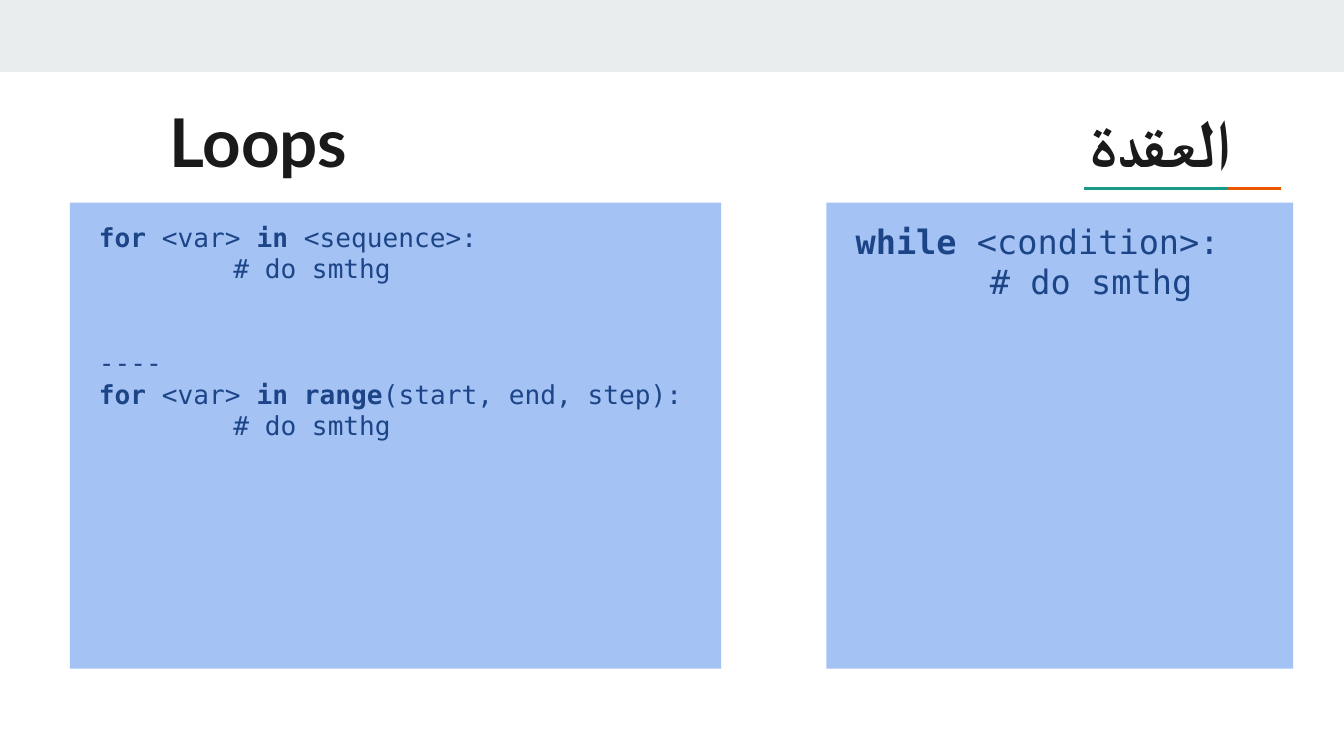
from lxml.etree import SubElement
from pptx import Presentation
from pptx.dml.color import RGBColor
from pptx.enum.shapes import MSO_SHAPE
from pptx.enum.text import MSO_ANCHOR, PP_ALIGN
from pptx.oxml.ns import qn
from pptx.util import Cm, Pt

# Content: boxes are left, top, width, height in cm
BAR = ((0, 0, 25.4, 1.36), "E9EDEE")
UNDERLINES = [((21.52, 3.54, 2.69, 0.05), "EB5600"),
              ((20.49, 3.54, 2.72, 0.05), "1A9988")]
ENGLISH_TITLE = ("Loops", (2.95, 1.65, 7.34, 1.5))
ARABIC_TITLE = ("العقدة", (18.6, 1.65, 4.93, 1.5))
BODY = "\t# do smthg"
TAB_STOP = 2.54
# Panel: box, text size, paragraphs of (space before, runs of (text, bold));
# None stands for a line break
PANELS = [
    ((1.32, 3.83, 12.31, 8.81), 14, [
        (0, [("for", True), (" <var> ", False), ("in", True),
             (" <sequence>:", False)]),
        (0, [(BODY, False)]),
        (1.19, [("----", False), None, ("for", True), (" <var> ", False),
                ("in range", True), ("(start, end, step):", False)]),
        (0, [(BODY, False)]),
    ]),
    ((15.62, 3.83, 8.82, 8.81), 18, [
        (0, [("while", True), (" <condition>:", False)]),
        (0, [(BODY, False)]),
    ]),
]


def color(value):
    return RGBColor.from_string(value)


def add_block(slide, box, fill):
    block = slide.shapes.add_shape(MSO_SHAPE.RECTANGLE, *map(Cm, box))
    block.shadow.inherit = False
    block.fill.solid()
    block.fill.fore_color.rgb = color(fill)
    block.line.fill.background()
    return block


def set_frame(frame, side, end):
    frame.word_wrap = True
    frame.vertical_anchor = MSO_ANCHOR.TOP
    frame.margin_left = frame.margin_right = Cm(side)
    frame.margin_top = frame.margin_bottom = Cm(end)


def add_run(paragraph, text, size, face, ink, bold):
    run = paragraph.add_run()
    run.text = text
    run.font.size = Pt(size)
    run.font.name = face
    run.font.bold = bold
    run.font.color.rgb = color(ink)
    return run


def fill_title(heading, text, box, align):
    heading.left, heading.top, heading.width, heading.height = map(Cm, box)
    set_frame(heading.text_frame, 0.25, 0.25)
    paragraph = heading.text_frame.paragraphs[0]
    paragraph.alignment = align
    return paragraph, add_run(paragraph, text, 36, "Lato", "1A1A1A", True)


def add_tab_stop(paragraph):
    stops = SubElement(paragraph._p.get_or_add_pPr(), qn("a:tabLst"))
    SubElement(stops, qn("a:tab"), pos=str(Cm(TAB_STOP)), algn="l")


def add_panel(slide, box, size, code):
    frame = add_block(slide, box, "A4C2F4").text_frame
    set_frame(frame, 0.55, 0.35)
    for number, (gap, pieces) in enumerate(code):
        paragraph = frame.add_paragraph() if number else frame.paragraphs[0]
        paragraph.alignment = PP_ALIGN.LEFT
        paragraph.space_before = Cm(gap)
        add_tab_stop(paragraph)
        for piece in pieces:
            if piece is None:
                paragraph.add_line_break()
            else:
                text, bold = piece
                add_run(paragraph, text, size, "DejaVu Sans Mono", "1C4587", bold)


def main():
    deck = Presentation()
    deck.slide_width, deck.slide_height = Cm(25.4), Cm(14.29)
    slide = deck.slides.add_slide(deck.slide_layouts[5])

    # Top bar and title underline
    for box, fill in [BAR, *UNDERLINES]:
        add_block(slide, box, fill)

    # Titles in both languages
    fill_title(slide.shapes.title, *ENGLISH_TITLE, PP_ALIGN.LEFT)
    arabic = slide.shapes.add_textbox(0, 0, 0, 0)
    paragraph, run = fill_title(arabic, *ARABIC_TITLE, PP_ALIGN.RIGHT)
    paragraph._p.get_or_add_pPr().set("rtl", "1")
    SubElement(run.font._element, qn("a:cs"), typeface="Lato")

    # Code panels
    for panel in PANELS:
        add_panel(slide, *panel)

    deck.save("out.pptx")


if __name__ == "__main__":
    main()
